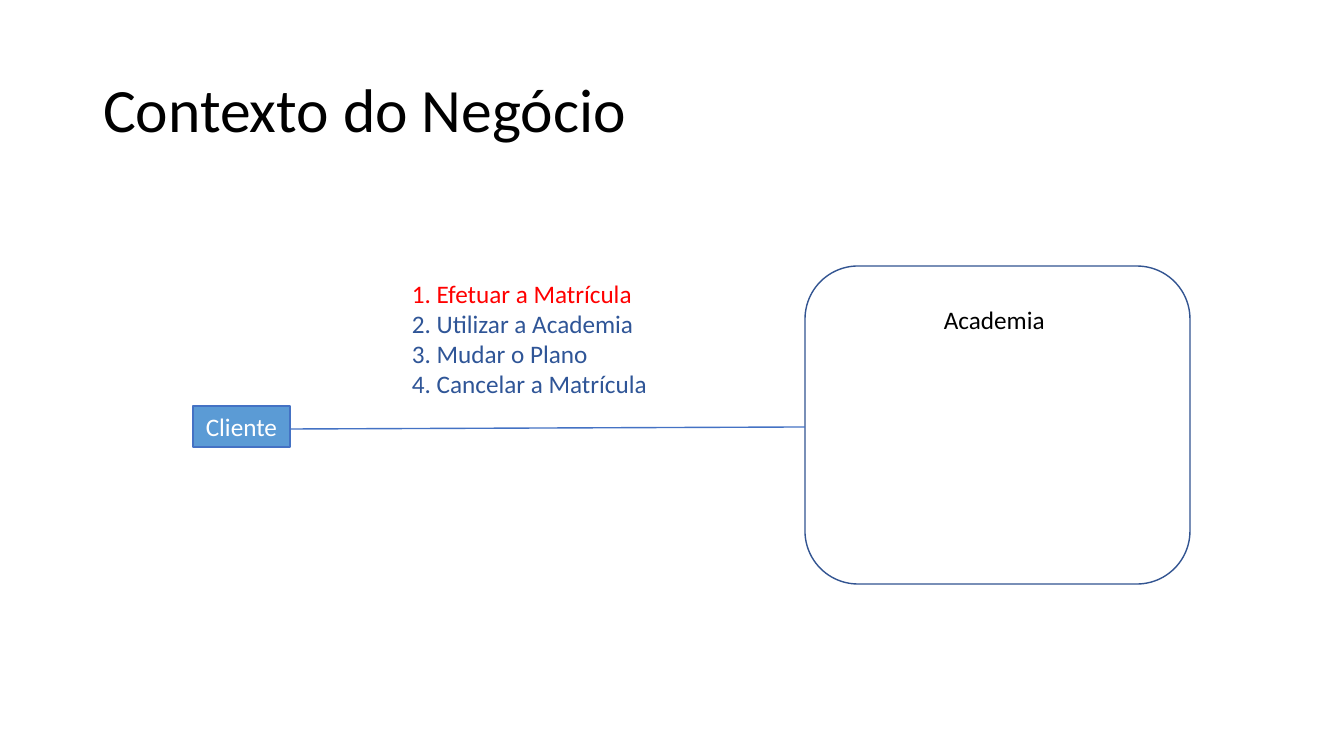
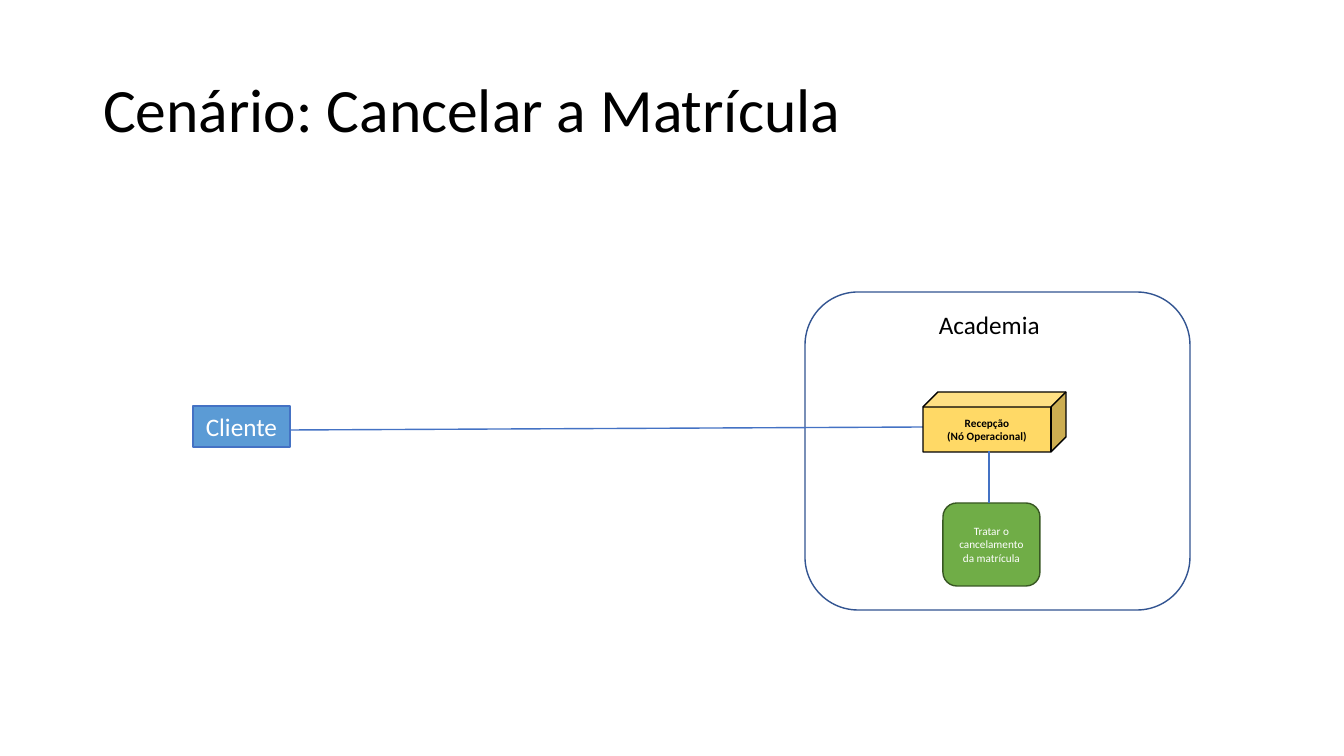
import dataclasses

import lxml.etree
import pptx
import pptx.dml.color
import pptx.enum.shapes
import pptx.enum.text
import pptx.oxml.ns
import pptx.util

SHAPES = pptx.enum.shapes.MSO_SHAPE
ALIGN = pptx.enum.text.PP_ALIGN
ANCHOR = pptx.enum.text.MSO_ANCHOR
AUTO_SIZE = pptx.enum.text.MSO_AUTO_SIZE
EMU_PER_PX = 914400 / 100.8


@dataclasses.dataclass(frozen=True)
class Theme:
    """Font, colours and type sizes shared by the slides."""
    font: str = "Calibri"
    black: str = "000000"
    white: str = "FFFFFF"
    client: str = "5B9BD5"
    link: str = "4472C4"
    border: str = "325491"
    active: str = "FF0000"
    item: str = "2F5597"
    node: str = "FFD966"
    task: str = "70AD47"
    task_border: str = "385723"
    title_size: int = 44
    body_size: int = 18
    small_size: int = 8
    line_width: int = 1


THEME = Theme()


def px(*lengths):
    """Turn picture pixels into a list of EMU lengths."""
    return [pptx.util.Emu(round(n * EMU_PER_PX)) for n in lengths]


def rgb(color):
    """Return the colour object for a hex string."""
    return pptx.dml.color.RGBColor.from_string(color)


def write(tf, lines, size, align=ALIGN.LEFT, bold=False):
    """Write (text, colour) lines, one paragraph each, and return the paragraphs."""
    for i, (text, color) in enumerate(lines):
        p = tf.add_paragraph() if i else tf.paragraphs[0]
        p.alignment = align
        r = p.add_run()
        r.text = text
        r.font.name = THEME.font
        r.font.size = pptx.util.Pt(size)
        r.font.bold = bold
        r.font.color.rgb = rgb(color)
    return tf.paragraphs


def add_titled_slide(prs, title):
    """Add a title-only slide with the shared title style."""
    s = prs.slides.add_slide(prs.slide_layouts[5])
    sp = s.shapes.title
    sp.left, sp.top, sp.width, sp.height = px(93, 40, 1159, 146)
    tf = sp.text_frame
    tf.auto_size = AUTO_SIZE.NONE
    tf.vertical_anchor = ANCHOR.MIDDLE
    for p in write(tf, [(title, THEME.black)], THEME.title_size):
        p.line_spacing = 0.9
    return s


def add_box(s, kind, box, fill, line, lines=(), size=THEME.small_size, bold=False):
    """Add an outlined preset shape with centred text."""
    sp = s.shapes.add_shape(kind, *px(*box))
    sp.shadow.inherit = False
    sp.fill.solid()
    sp.fill.fore_color.rgb = rgb(fill)
    sp.line.color.rgb = rgb(line)
    sp.line.width = pptx.util.Pt(THEME.line_width)
    tf = sp.text_frame
    tf.word_wrap = True
    tf.vertical_anchor = ANCHOR.MIDDLE
    write(tf, lines, size, ALIGN.CENTER, bold)
    return sp


def add_text(s, box, lines):
    """Add a wrapping text box that grows with its text."""
    tf = s.shapes.add_textbox(*px(*box)).text_frame
    tf.word_wrap = True
    tf.auto_size = AUTO_SIZE.SHAPE_TO_FIT_TEXT
    write(tf, lines, THEME.body_size)


def add_link(s, start, end):
    """Join two points with a plain line."""
    cx = s.shapes.add_connector(pptx.enum.shapes.MSO_CONNECTOR.STRAIGHT, *px(*start, *end))
    cx.line.color.rgb = rgb(THEME.link)
    cx.line.width = pptx.util.Pt(THEME.line_width)
    sp_pr = cx.element.find(pptx.oxml.ns.qn("p:spPr"))
    lxml.etree.SubElement(sp_pr, pptx.oxml.ns.qn("a:effectLst"))


def add_academy(s, top, label_left, label_top):
    """Add the academy boundary and its label."""
    add_box(s, SHAPES.ROUNDED_RECTANGLE, (805, top, 385, 318), THEME.white, THEME.border)
    add_text(s, (label_left, label_top, 302, 40), [("Academia", THEME.black)])


def add_client(s):
    """Add the client box."""
    sp = add_box(s, SHAPES.RECTANGLE, (193, 406, 97, 41), THEME.client, THEME.link,
                 [("Cliente", THEME.white)], THEME.body_size)
    sp.text_frame.word_wrap = False


def build_context(prs):
    """Build the business context slide."""
    s = add_titled_slide(prs, "Contexto do Negócio")
    add_academy(s, 266, 934, 299)
    add_client(s)
    add_link(s, (290, 429), (805, 427))
    add_text(s, (402, 273, 302, 132), [
        ("1. Efetuar a Matrícula", THEME.active),
        ("2. Utilizar a Academia", THEME.item),
        ("3. Mudar o Plano", THEME.item),
        ("4. Cancelar a Matrícula", THEME.item),
    ])


def build_cancellation(prs):
    """Build the cancellation scenario slide."""
    s = add_titled_slide(prs, "Cenário: Cancelar a Matrícula")
    add_academy(s, 292, 929, 304)
    add_client(s)
    add_link(s, (290, 430), (929, 427))
    add_box(s, SHAPES.CUBE, (923, 392, 143, 60), THEME.node, THEME.black,
            [("Recepção", THEME.black), ("(Nó Operacional)", THEME.black)], bold=True)
    add_box(s, SHAPES.ROUNDED_RECTANGLE, (943, 503, 97, 83), THEME.task, THEME.task_border,
            [("Tratar o cancelamento da matrícula", THEME.white)])
    add_link(s, (989, 451), (989, 503))


def main():
    """Build and save the presentation."""
    prs = pptx.Presentation()
    prs.slide_width, prs.slide_height = px(1344, 756)
    build_context(prs)
    build_cancellation(prs)
    prs.save("out.pptx")


main()
